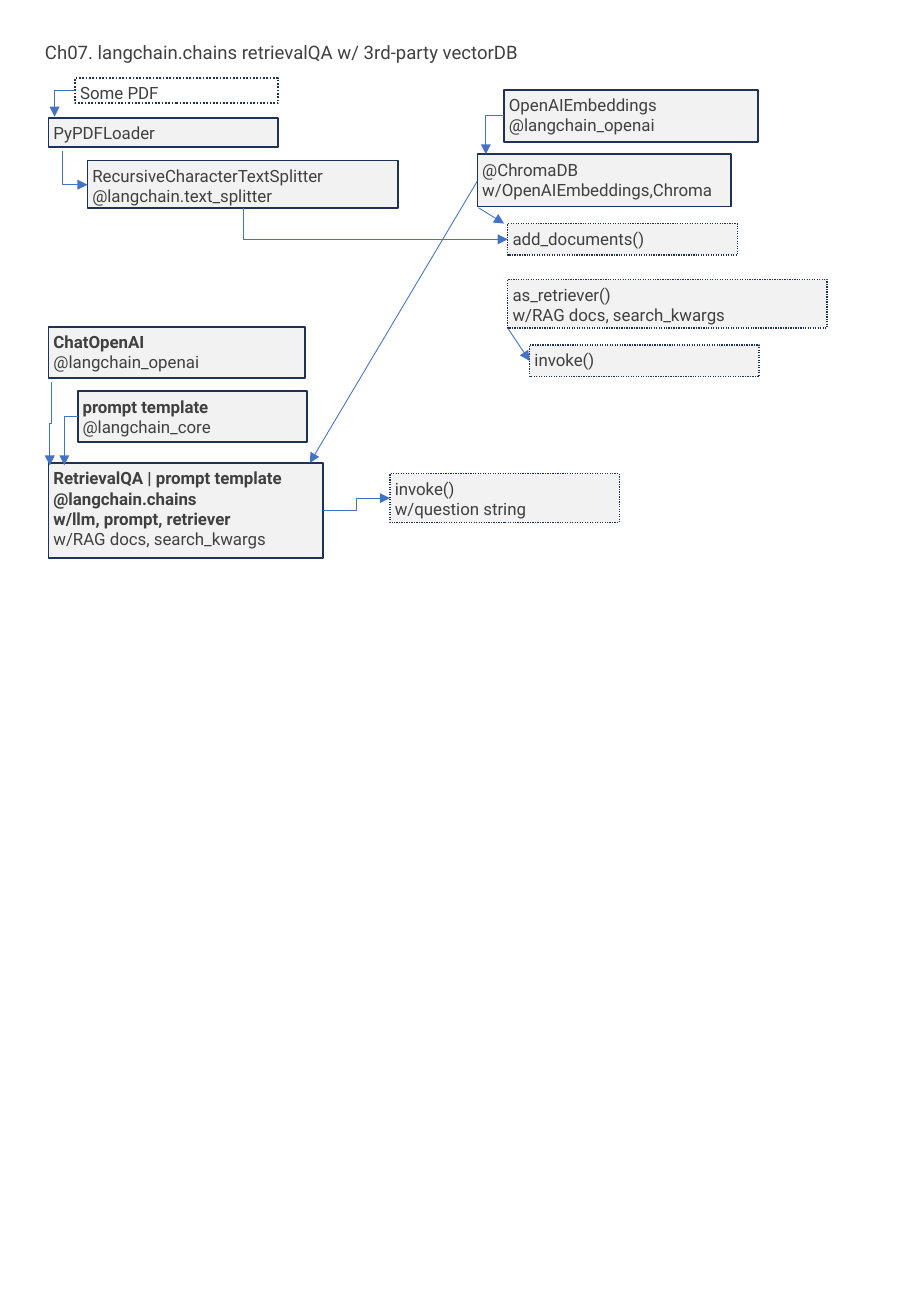
from pptx import Presentation
from pptx.dml.color import RGBColor
from pptx.enum.dml import MSO_LINE
from pptx.enum.shapes import MSO_CONNECTOR, MSO_SHAPE
from pptx.enum.text import MSO_ANCHOR, MSO_AUTO_SIZE, PP_ALIGN
from pptx.oxml.ns import qn
from pptx.util import Inches, Pt
from lxml import etree

TEXT = RGBColor(0x40, 0x40, 0x40)
NAVY = RGBColor(0x1E, 0x32, 0x56)
BLUE = RGBColor(0x44, 0x72, 0xC4)
GREY = RGBColor(0xF2, 0xF2, 0xF2)
WHITE = RGBColor(0xFF, 0xFF, 0xFF)
DOTTED = MSO_LINE.ROUND_DOT
STRAIGHT, ELBOW = MSO_CONNECTOR.STRAIGHT, MSO_CONNECTOR.ELBOW
RECTANGLE = MSO_SHAPE.RECTANGLE
LEFT, TOP = PP_ALIGN.LEFT, MSO_ANCHOR.TOP
GROW = MSO_AUTO_SIZE.SHAPE_TO_FIT_TEXT
FONT = "Roboto"


class FlowPage:
    """Draws the title, boxes and arrows of a flow diagram on one slide."""

    def __init__(self, page):
        self.page = page

    def set_text(self, frame, lines, size, inset, bold_lines=0):
        frame.word_wrap = True
        frame.vertical_anchor = TOP
        frame.margin_left = frame.margin_right = Inches(0.04)
        frame.margin_top = frame.margin_bottom = Inches(inset)
        for index, line in enumerate(lines):
            para = frame.paragraphs[0] if index == 0 else frame.add_paragraph()
            para.text = line
            para.alignment = LEFT
            para.font.name = FONT
            para.font.size = Pt(size)
            para.font.bold = index < bold_lines
            para.font.color.rgb = TEXT

    def title(self, text, left, top, width, height):
        box = self.page.shapes.title
        box.left, box.top = Inches(left), Inches(top)
        box.width, box.height = Inches(width), Inches(height)
        self.set_text(box.text_frame, [text], 11, 0.05)
        box.text_frame.auto_size = GROW

    def box(self, left, top, width, height, lines, bold_lines=0,
            fill=GREY, weight=1.0, dash=None):
        box = self.page.shapes.add_shape(
            RECTANGLE, Inches(left), Inches(top), Inches(width), Inches(height))
        box.shadow.inherit = False
        box.fill.solid()
        box.fill.fore_color.rgb = fill
        box.line.color.rgb = NAVY
        box.line.width = Pt(weight)
        if dash:
            box.line.dash_style = dash
        self.set_text(box.text_frame, lines, 10, 0.04, bold_lines)

    def call(self, left, top, width, height, lines):
        self.box(left, top, width, height, lines, weight=0.75, dash=DOTTED)

    def arrow(self, start, end, bends=0, down_first=False):
        (x1, y1), (x2, y2) = start, end
        turn = 0
        if down_first:
            turn = -1 if x2 > x1 else 1
            mid_x, mid_y = (x1 + x2) / 2, (y1 + y2) / 2
            half_x, half_y = turn * (y2 - y1) / 2, turn * (x1 - x2) / 2
            x1, y1 = mid_x - half_x, mid_y - half_y
            x2, y2 = mid_x + half_x, mid_y + half_y
        arrow = self.page.shapes.add_connector(
            ELBOW if bends else STRAIGHT,
            Inches(x1), Inches(y1), Inches(x2), Inches(y2))
        arrow.line.color.rgb = BLUE
        arrow.line.width = Pt(0.5)
        properties = arrow._element.spPr
        if bends:
            properties.find(qn("a:prstGeom")).set("prst", f"bentConnector{bends + 1}")
        if turn:
            properties.find(qn("a:xfrm")).set("rot", str(turn % 4 * 5400000))
        etree.SubElement(properties.find(qn("a:ln")), qn("a:tailEnd"), type="triangle")
        etree.SubElement(properties, qn("a:effectLst"))


def main():
    deck = Presentation()
    deck.slide_width, deck.slide_height = Inches(7.5), Inches(10.83)
    flow = FlowPage(deck.slides.add_slide(deck.slide_layouts[5]))
    flow.title("Ch07. langchain.chains retrievalQA w/ 3rd-party vectorDB",
               0.33, 0.29, 4.7, 0.29)

    flow.box(0.4, 0.97, 1.89, 0.24, ["PyPDFLoader"])
    flow.box(0.62, 0.64, 1.67, 0.21, ["Some PDF"], fill=WHITE, dash=DOTTED)
    flow.box(0.72, 1.32, 2.56, 0.39,
             ["RecursiveCharacterTextSplitter\v@langchain.text_splitter"])
    flow.box(4.15, 0.74, 2.09, 0.43, ["OpenAIEmbeddings", "@langchain_openai"])
    flow.box(3.93, 1.27, 2.09, 0.43, ["@ChromaDB", "w/OpenAIEmbeddings,Chroma"])
    flow.box(0.4, 2.69, 2.11, 0.42, ["ChatOpenAI", "@langchain_openai"], bold_lines=1)
    flow.box(0.64, 3.22, 1.89, 0.42, ["prompt template", "@langchain_core"], bold_lines=1)
    flow.box(0.4, 3.81, 2.26, 0.78,
             ["RetrievalQA | prompt template", "@langchain.chains",
              "w/llm, prompt, retriever", "w/RAG docs, search_kwargs"], bold_lines=3)

    flow.call(4.18, 1.84, 1.89, 0.26, ["add_documents()"])
    flow.call(4.18, 2.3, 2.63, 0.4, ["as_retriever()", "w/RAG docs, search_kwargs"])
    flow.call(4.36, 2.84, 1.89, 0.26, ["invoke()"])
    flow.call(3.21, 3.9, 1.89, 0.4, ["invoke()", "w/question string"])

    flow.arrow((0.62, 0.74), (0.45, 0.96), bends=1)
    flow.arrow((0.51, 1.24), (0.72, 1.52), bends=1, down_first=True)
    flow.arrow((4.15, 0.95), (4, 1.27), bends=1)
    flow.arrow((3.94, 1.71), (4.15, 1.84))
    flow.arrow((2, 1.71), (4.18, 1.97), bends=1, down_first=True)
    flow.arrow((4.18, 2.7), (4.36, 2.97))
    flow.arrow((0.64, 3.43), (0.53, 3.83), bends=1)
    flow.arrow((0.42, 3.14), (0.41, 3.83), bends=2, down_first=True)
    flow.arrow((2.66, 4.2), (3.21, 4.1), bends=2)
    flow.arrow((3.93, 1.49), (2.55, 3.81))
    deck.save("out.pptx")


if __name__ == "__main__":
    main()
